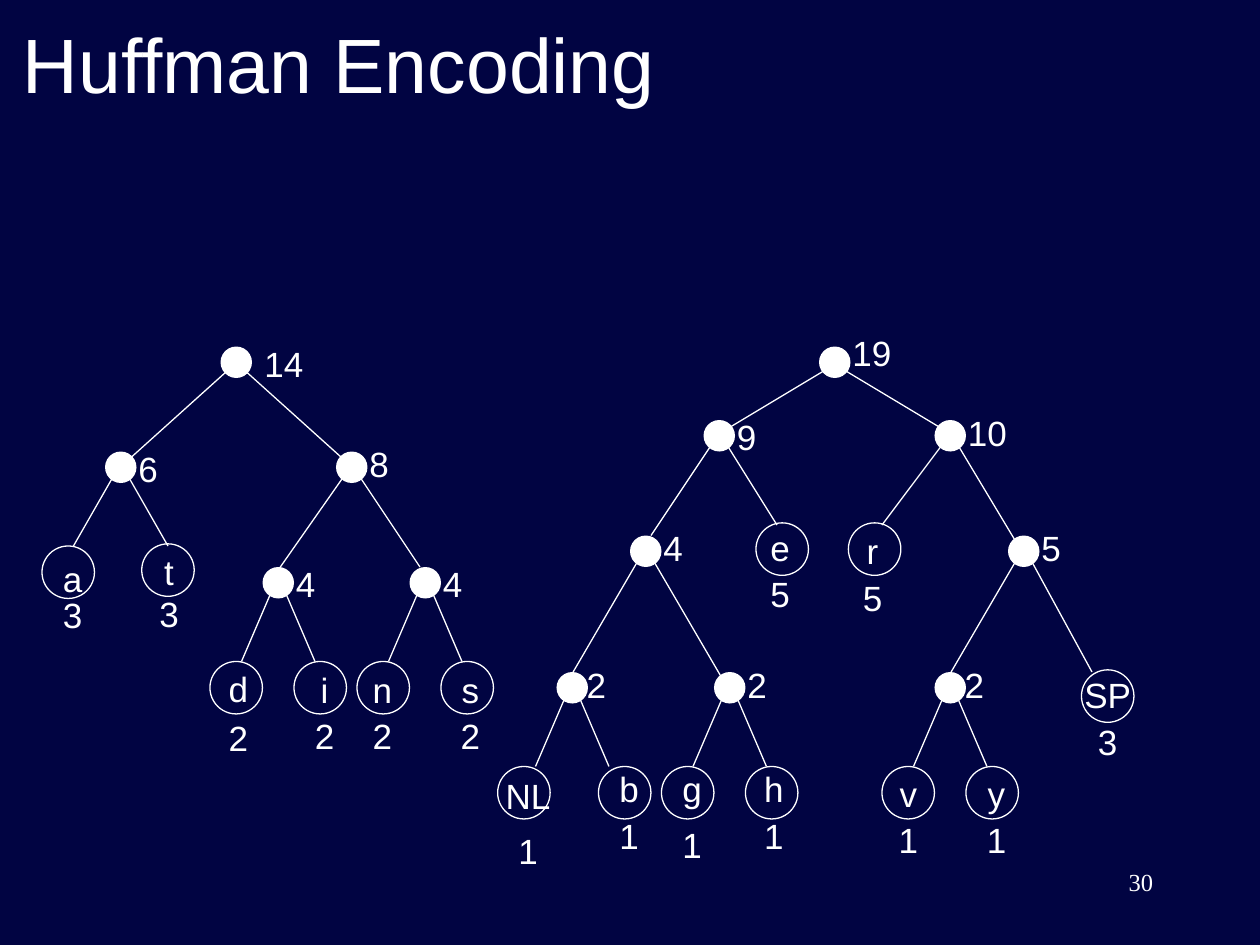
from dataclasses import dataclass

from lxml.etree import SubElement
from pptx import Presentation
from pptx.dml.color import RGBColor
from pptx.enum.shapes import MSO_CONNECTOR, MSO_SHAPE
from pptx.enum.text import MSO_ANCHOR, PP_ALIGN
from pptx.oxml.ns import qn
from pptx.util import Inches, Pt

COLORS = {"background": "010442", "ink": "FFFFFF"}
CELL = Inches(1) / 12  # the slide is 120 columns by 90 rows
DOT, CIRCLE = 3, 5  # diameters in cells


@dataclass
class Leaf:
    text: str
    count: str
    at: tuple       # left, top of the circle
    joint: tuple    # where the edge from the parent ends
    shift: tuple    # text centre and top, from the circle's corner
    spacing: tuple = (0.9, 0.9)


@dataclass
class Branch:
    weight: str
    at: tuple       # left, top of the dot
    joint: tuple    # where the edge from the parent ends
    shift: tuple    # weight label, from the dot's corner
    children: tuple


LEFT_TREE = Branch("14", (17, 0), None, (3, 0.4), (
    Branch("6", (6, 10), (8, 11), (2, 0.4), (
        Leaf("a", "3", (0, 19), (3, 19), (2.9, -1.5), (1.5, 0.6)),
        Leaf("t", "3", (9.5, 18.8), (12, 19), (2.6, 0.8), (0.8, 0.8)))),
    Branch("8", (28, 10), (29, 11), (2, 0), (
        Branch("4", (21, 21), (22, 22), (2, 0.4), (
            Leaf("d", "2", (16, 30), (19, 30), (2.7, 1.4), (0.6, 1.0)),
            Leaf("i", "2", (24, 30), (26, 30), (2.9, 0.5)))),
        Branch("4", (35, 21), (36, 21), (2, 0.4), (
            Leaf("n", "2", (30, 30), (33, 30), (2.4, 0.5)),
            Leaf("s", "2", (38, 30), (40, 30), (2.8, 0.5))))))))

RIGHT_TREE = Branch("19", (31, 0), None, (2, -0.6), (
    Branch("9", (20, 7), (22, 8), (2, 0.4), (
        Branch("4", (13, 18), (15, 18), (2, 0), (
            Branch("2", (6, 31), (7, 32), (1.7, 0), (
                Leaf("NL", "1", (0.4, 40), (4, 40), (2.9, -0.2), (1.1, 1.1)),
                Leaf("b", "1", (10, 40), (11, 40), (2.9, 0)))),
            Branch("2", (21, 31), (22, 32), (2, 0), (
                Leaf("g", "1", (16, 40), (19, 40), (2.9, 0), (0.9, 1.1)),
                Leaf("h", "1", (24, 40), (26, 40), (2.7, 0)))))),
        Leaf("e", "5", (25, 16.8), (27, 17), (2.3, 0.2)))),
    Branch("10", (42, 7), (43, 8), (2, 0), (
        Leaf("r", "5", (33.8, 16.8), (37, 17), (2.3, 0.5)),
        Branch("5", (49, 18), (50, 19), (2, 0), (
            Branch("2", (42, 31), (43, 32), (1.7, 0), (
                Leaf("v", "1", (37, 40), (40, 40), (2.5, 0.4)),
                Leaf("y", "1", (45, 40), (47, 40), (2.9, 0.4)))),
            Leaf("SP", "3", (56, 30.8), (57, 31), (2.5, 0.2))))))))


def color(name):
    return RGBColor.from_string(COLORS[name])


def cells(*values):
    return [round(value * CELL) for value in values]


def offset(point, by):
    return point[0] + by[0], point[1] + by[1]


def add_text(slide, box, lines, size, font="Arial", align=PP_ALIGN.LEFT,
             spacing=(1.0,), wrap=True, anchor=MSO_ANCHOR.TOP):
    text_frame = slide.shapes.add_textbox(*cells(*box)).text_frame
    text_frame.word_wrap = wrap
    text_frame.vertical_anchor = anchor
    text_frame.text = "\n".join(lines)
    for index, (paragraph, line_spacing) in enumerate(zip(text_frame.paragraphs, spacing)):
        paragraph.alignment = align
        paragraph.line_spacing = line_spacing
        if index:
            paragraph.space_before = Pt(5)
        for run in paragraph.runs:
            run.font.name = font
            run.font.size = Pt(size)
            run.font.color.rgb = color("ink")


def add_round(slide, position, diameter, filled):
    shape = slide.shapes.add_shape(MSO_SHAPE.OVAL, *cells(*position, diameter, diameter))
    shape.shadow.inherit = False
    if filled:
        shape.fill.solid()
        shape.fill.fore_color.rgb = color("ink")
        shape.line.fill.background()
    else:
        shape.fill.background()
        shape.line.color.rgb = color("ink")
        shape.line.width = Pt(0.75)


def add_edge(slide, start, end):
    connector = slide.shapes.add_connector(MSO_CONNECTOR.STRAIGHT, *cells(*start, *end))
    connector.line.color.rgb = color("ink")
    connector.line.width = Pt(0.75)
    SubElement(connector._element.spPr, qn("a:effectLst"))


def add_leaf(slide, leaf, origin):
    corner = offset(origin, leaf.at)
    centre, top = offset(corner, leaf.shift)
    width = 1.4 + 2.8 * len(leaf.text)  # room for each letter plus the insets
    add_text(slide, (centre - width / 2, top, width, 9.2), (leaf.text, leaf.count), 20,
             align=PP_ALIGN.CENTER, spacing=leaf.spacing, wrap=False)
    add_round(slide, corner, CIRCLE, filled=False)


def add_tree(slide, node, origin):
    """Draw a node and all below it, measured from the tree box's corner."""
    if isinstance(node, Leaf):
        add_leaf(slide, node, origin)
        return
    corner = offset(origin, node.at)
    # Edges leave the dot just left and right of its centre
    for column, child in enumerate(node.children, start=1):
        add_edge(slide, offset(corner, (column, 2)), offset(origin, child.joint))
        add_tree(slide, child, origin)
    add_round(slide, corner, DOT, filled=True)
    width = 3 + 3 * len(node.weight)
    add_text(slide, (*offset(corner, node.shift), width, 3.6), (node.weight,), 20,
             spacing=(0.6,))


def main():
    presentation = Presentation()
    presentation.slide_width, presentation.slide_height = cells(120, 90)
    slide = presentation.slides.add_slide(presentation.slide_layouts[6])
    slide.background.fill.solid()
    slide.background.fill.fore_color.rgb = color("background")

    # Title
    add_text(slide, (1, 0, 108, 12), ("Huffman Encoding",), 44, anchor=MSO_ANCHOR.MIDDLE)
    # The two trees still to be merged
    add_tree(slide, LEFT_TREE, (4, 33))
    add_tree(slide, RIGHT_TREE, (47, 33))
    # Slide number
    add_text(slide, (86, 82, 25, 6), ("30",), 14, "Times New Roman", PP_ALIGN.RIGHT)

    presentation.save("out.pptx")


if __name__ == "__main__":
    main()
